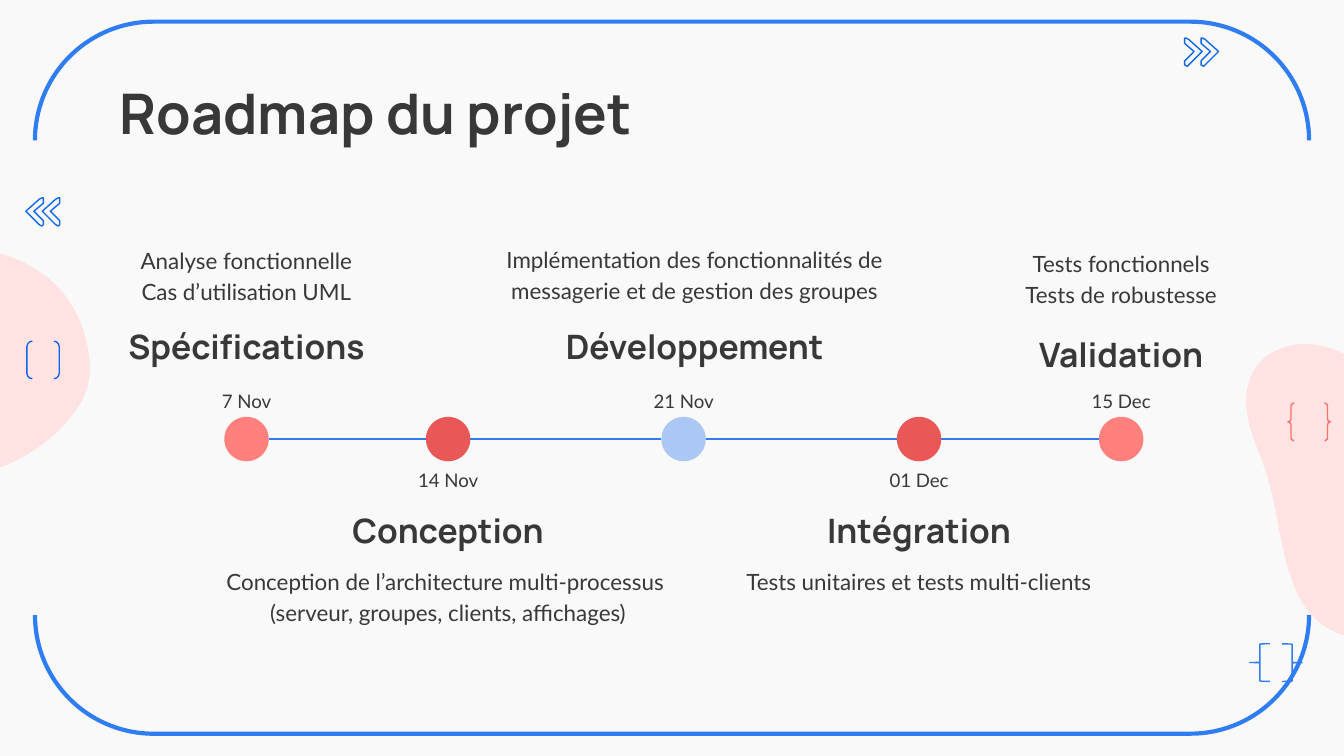
from copy import deepcopy
from itertools import pairwise

from lxml.etree import SubElement
from pptx import Presentation
from pptx.dml.color import RGBColor
from pptx.enum.shapes import MSO_CONNECTOR as Link, MSO_SHAPE as Kind
from pptx.enum.text import MSO_ANCHOR as Anchor, PP_ALIGN as Align
from pptx.oxml.ns import qn
from pptx.util import Cm, Pt

PAPER = RGBColor(0xF9, 0xF9, 0xF9)
INK = RGBColor(0x38, 0x38, 0x38)
BLUE = RGBColor(0x2E, 0x7D, 0xF4)
DEEP = RGBColor(0x0E, 0x66, 0xEB)
PALE = RGBColor(0xAB, 0xC8, 0xF4)
BLUSH = RGBColor(0xFF, 0xE3, 0xE3)
CORAL = RGBColor(0xFF, 0x80, 0x7D)
SALMON = RGBColor(0xFF, 0x6E, 0x6B)
RED = RGBColor(0xE9, 0x58, 0x56)

UNIT = Cm(0.0254)  # one step of the outline grids below
DOT = 0.84

# Outlines: a start, then three Bezier points for each curve
LEFT_BLOB = [
    (28, 4), (34, 2), (39, 0), (45, 0), (67, -1), (86, 14), (107, 21),
    (135, 30), (162, 19), (190, 22), (215, 24), (239, 35), (255, 53),
    (264, 63), (271, 77), (274, 91), (278, 106), (278, 122), (271, 135),
    (259, 156), (238, 173), (215, 183), (210, 185), (204, 187), (199, 189),
    (196, 190), (193, 191), (190, 191), (172, 195), (153, 196), (136, 190),
    (117, 183), (104, 171), (90, 157), (74, 141), (55, 130), (37, 116),
    (20, 102), (3, 84), (0, 61), (-3, 47), (0, 32), (8, 20),
    (14, 13), (20, 7), (28, 4),
]
RIGHT_BLOB = [
    (38, 1), (26, 3), (15, 8), (8, 17), (0, 28), (-1, 42), (1, 54),
    (3, 67), (9, 79), (13, 91), (31, 138), (21, 216), (90, 221),
    (96, 222), (102, 222), (107, 221), (166, 215), (192, 145), (178, 91),
    (174, 75), (166, 60), (155, 48), (147, 40), (138, 34), (128, 29),
    (119, 26), (108, 24), (98, 20), (88, 16), (78, 10), (68, 6),
    (58, 2), (48, 0), (38, 1),
]
CHEVRON = [
    (12, 0), (10, 1), (0, 10.5), (10, 20), (11.5, 21), (13, 20),
    (13, 17), (6, 10.5), (13, 3.5), (13, 0.5),
]

# Centre, dot colour, date, name, text, text width and height,
# sideways shift, text drop, name drop
STAGES = [
    (4.66, CORAL, "7 Nov", "Spécifications",
     "Analyse fonctionnelle\vCas d’utilisation UML",
     5.94, 1.6, 0, 0.02, 0),
    (8.47, RED, "14 Nov", "Conception",
     "Conception de l’architecture multi-processus \v"
     "(serveur, groupes, clients, affichages)", 9.14, 2.24, 0, 0, 0),
    (12.92, PALE, "21 Nov", "Développement",
     "Implémentation des fonctionnalités de messagerie "
     "et de gestion des groupes", 7.92, 1.6, 0.21, 0, 0),
    (17.37, RED, "01 Dec", "Intégration",
     "Tests unitaires et tests multi-clients", 7.21, 1.6, 0, 0, 0),
    (21.19, CORAL, "15 Dec", "Validation",
     "Tests fonctionnels\vTests de robustesse", 5.94, 1.6, 0, 0.08, 0.15),
]


def paint(shape, fill=None, line=None, width=0.75):
    shape.shadow.inherit = False
    if fill is None:
        shape.fill.background()
    else:
        shape.fill.solid()
        shape.fill.fore_color.rgb = fill
    if line is None:
        shape.line.fill.background()
    else:
        shape.line.color.rgb = line
        shape.line.width = Pt(width)


def preset(slide, kind, x, y, w, h, **look):
    shape = slide.shapes.add_shape(kind, Cm(x), Cm(y), Cm(w), Cm(h))
    paint(shape, **look)
    return shape


def outline(slide, points, x, y, **look):
    pen = slide.shapes.build_freeform(*points[0], scale=UNIT)
    pen.add_line_segments(points[1:], close=True)
    shape = pen.convert_to_shape(Cm(x), Cm(y))
    paint(shape, **look)
    return shape


def blob(slide, points, x, y):
    shape = outline(slide, points, x, y, fill=BLUSH)
    # Join each three straight segments into one Bezier curve
    lines = list(shape._element.iter(qn("a:lnTo")))
    for i in range(0, len(points) - 1, 3):
        first, *rest = lines[i:i + 3]
        first.tag = qn("a:cubicBezTo")
        for line in rest:
            first.append(line[0])
            line.getparent().remove(line)


def write(slide, text, x, y, w, h, font, size, bold=False,
          align=Align.CENTER, space=1.15, anchor=Anchor.TOP):
    frame = slide.shapes.add_textbox(Cm(x), Cm(y), Cm(w), Cm(h)).text_frame
    frame.word_wrap = True
    frame.vertical_anchor = anchor
    frame.margin_left = frame.margin_right = Cm(0.25)
    frame.margin_top = frame.margin_bottom = Cm(0.25)
    frame.text = text
    para = frame.paragraphs[0]
    para.alignment = align
    para.line_spacing = space
    for run in para.runs:
        run.font.name = font
        run.font.size = Pt(size)
        run.font.bold = bold
        run.font.color.rgb = INK
    # Line breaks take the format of the text
    for gap in para._p.findall(qn("a:br")):
        gap.append(deepcopy(para.runs[0]._r.rPr))


def border(slide, x, y, w, h):
    # A bracket pair turned on its side, about the centre of the box
    shape = preset(slide, Kind.DOUBLE_BRACKET, x + (w - h) / 2,
                   y + (h - w) / 2, h, w, line=BLUE, width=2.25)
    shape.rotation = 90


def arrows(slide, x, y, flip=False):
    points = [(13 - px, py) for px, py in CHEVRON] if flip else CHEVRON
    for i in range(2):
        outline(slide, points, x + 0.31 * i, y, line=DEEP)


def braces(slide, x, y, w, h):
    part = 0.38
    for left, turn in ((x, 0), (x + w - part, 180)):
        shape = preset(slide, Kind.LEFT_BRACE, left, y, part, h, line=BLUE)
        shape.adjustments[0] = 0.02
        shape.rotation = turn


def decor(slide, w, h):
    border(slide, 0.66, 0.41, w - 1.32, h - 0.83)
    blob(slide, LEFT_BLOB, -5.33, 4.14)
    blob(slide, RIGHT_BLOB, w - 1.85, 6.48)
    braces(slide, w - 1.78, h - 2.12, 0.99, 0.71)
    preset(slide, Kind.DOUBLE_BRACKET, 0.51, 6.45, 0.61, 0.71, line=DEEP)
    arrows(slide, 0.49, 3.74)
    arrows(slide, w - 3.01, 0.72, flip=True)
    preset(slide, Kind.DOUBLE_BRACE, w - 1.06, 7.62, 0.81, 0.71, line=SALMON)


def stage(slide, y, above, item):
    x, fill, date, name, text, wide, high, shift, fall, drop = item
    mid = x + shift
    # Offsets from the axis for text, name and date
    tops = (fall - 3.98, drop - 2.51, -1.24) if above else (2.12, 1.08, 0.26)
    write(slide, name, mid - 2.97, y + tops[1], 5.94, 1.27, "Manrope", 18,
          bold=True, anchor=Anchor.TOP if above else Anchor.BOTTOM)
    write(slide, text, mid - wide / 2, y + tops[0], wide, high, "Lato", 12)
    preset(slide, Kind.OVAL, x - DOT / 2, y - DOT / 2, DOT, DOT, fill=fill)
    write(slide, date, x - 1.05, y + tops[2], 2.1, 0.91, "Lato", 10)


def roadmap(slide, y):
    for i, item in enumerate(STAGES):
        stage(slide, y, i % 2 == 0, item)
    # Links between neighbouring dots
    for a, b in pairwise(STAGES):
        link = slide.shapes.add_connector(
            Link.STRAIGHT, Cm(a[0] + DOT / 2), Cm(y), Cm(b[0] - DOT / 2), Cm(y))
        link.line.color.rgb = BLUE
        link.line.width = Pt(0.75)
        SubElement(link._element.spPr, qn("a:effectLst"))


def main():
    deck = Presentation()
    deck.slide_width, deck.slide_height = Cm(25.4), Cm(14.29)
    slide = deck.slides.add_slide(deck.slide_layouts[6])
    slide.background.fill.solid()
    slide.background.fill.fore_color.rgb = PAPER
    decor(slide, 25.4, 14.29)
    write(slide, "Roadmap du projet", 2.01, 1.24, 21.41, 1.6, "Manrope", 30,
          bold=True, align=Align.LEFT, space=1.0)
    roadmap(slide, 8.3)
    deck.save("out.pptx")


if __name__ == "__main__":
    main()
